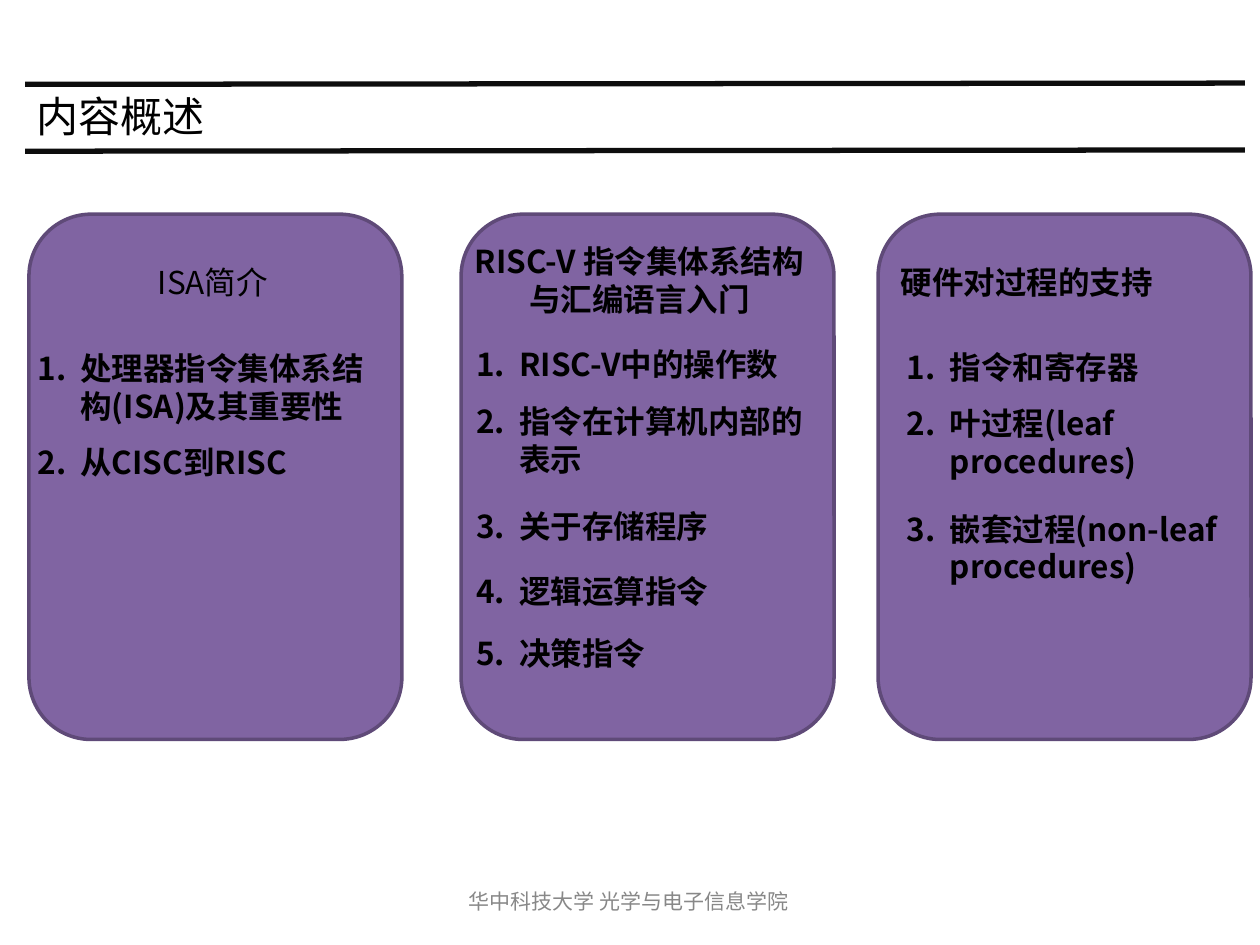
from dataclasses import dataclass
from lxml.etree import SubElement
from pptx import Presentation
from pptx.dml.color import RGBColor as RGB
from pptx.enum.shapes import MSO_CONNECTOR as Conn, MSO_SHAPE as Shape
from pptx.enum.text import MSO_ANCHOR as Anchor, MSO_AUTO_SIZE as Auto, PP_ALIGN as Align
from pptx.oxml.ns import qn
from pptx.util import Pt


@dataclass(frozen=True)
class Theme:
    ink: RGB = RGB(0x00, 0x00, 0x00)
    rule: RGB = RGB(0x0D, 0x0D, 0x0D)
    card: RGB = RGB(0x80, 0x64, 0xA2)
    edge: RGB = RGB(0x5F, 0x4A, 0x78)
    muted: RGB = RGB(0x88, 0x88, 0x88)
    latin: str = "Calibri"
    cjk: str = "Noto Sans CJK SC"
    title: int = 24
    body: int = 18
    footer: int = 12


T = Theme()
TITLE = ["内容概述"]
FOOTER = ["华中科技大", "学", "光学与电子信息学院"]
CARDS = [
    {
        "left": 16.56,
        "head": "ISA简介", "head_box": (30.96, 146.9, 181.4, 28.8),
        "bold": False, "align": Align.CENTER,
        "list_box": (-54, 195.8, 277.9, 83.5), "insets": (7.2, 3.6),
        "items": [["处理器指令集体系结构(ISA)及其重要性"], ["从CISC到RISC"]],
    },
    {
        "left": 263.5,
        "head": "RISC-V 指令集体系结构与汇编语言入门", "head_box": (259.9, 134.6, 211, 51.1),
        "bold": True, "align": Align.CENTER,
        "list_box": (203.8, 196.6, 267.1, 189.4), "insets": (0, 0.72),
        "items": [["RISC-V", "中的操作数"], ["指令在计算机内部的表示"],
                  ["关于存储程序"], ["逻辑运算指令"], ["决策指令"]],
    },
    {
        "left": 501.8,
        "head": "硬件对过程的支持", "head_box": (507.6, 146.9, 181.4, 28.8),
        "bold": True, "align": Align.LEFT,
        "list_box": (442.8, 195.1, 277.9, 144.7), "insets": (7.2, 3.6),
        "items": [["指令和寄存器"], ["叶过程", "(leaf procedures)"],
                  ["嵌套过程", "(non-leaf procedures)"]],
    },
]
CARD_TOP, CARD_W, CARD_H = 122.4, 213.1, 300.2
GAPS = (0, 10.8, 16.9, 15.2, 14.2)
LIST_MARGIN, LIST_HANG = 92.9, 24.5
RULE_LEFT, RULE_RIGHT, RULE_RISE = 14.4, 711.4, 0.7
RULE_TOPS = (86.4, 48.2)


def add_text(s, box, paras, size, font=T.cjk, color=T.ink, bold=False,
             insets=(7.2, 3.6), align=Align.LEFT, anchor=Anchor.TOP):
    tf = s.shapes.add_textbox(*map(Pt, box)).text_frame
    tf.word_wrap, tf.auto_size = True, Auto.SHAPE_TO_FIT_TEXT
    tf.vertical_anchor = anchor
    tf.margin_left = tf.margin_right = Pt(insets[0])
    tf.margin_top = tf.margin_bottom = Pt(insets[1])
    for i, runs in enumerate(paras):
        p = tf.add_paragraph() if i else tf.paragraphs[0]
        p.alignment = align
        for text in runs:
            r = p.add_run()
            r.text = text
            r.font.size, r.font.name, r.font.bold = Pt(size), font, bold
            r.font.color.rgb = color
            SubElement(r.font._element, qn("a:ea"), typeface=T.cjk)
    return tf


def number_items(tf):
    for p, gap in zip(tf.paragraphs, GAPS):
        p.space_before = Pt(gap)
        pPr = p._p.get_or_add_pPr()
        pPr.set("marL", str(Pt(LIST_MARGIN)))
        pPr.set("indent", str(-Pt(LIST_HANG)))
        SubElement(pPr, qn("a:buFont"), typeface=T.cjk)
        SubElement(pPr, qn("a:buAutoNum"), type="arabicPeriod")


def add_card(s, left):
    sp = s.shapes.add_shape(Shape.ROUNDED_RECTANGLE, *map(Pt, (left, CARD_TOP, CARD_W, CARD_H)))
    sp.shadow.inherit = False
    sp.fill.solid()
    sp.fill.fore_color.rgb = T.card
    sp.line.color.rgb, sp.line.width = T.edge, Pt(2)


def add_rule(s, top):
    sp = s.shapes.add_connector(
        Conn.STRAIGHT, *map(Pt, (RULE_LEFT, top, RULE_RIGHT, top - RULE_RISE)))
    sp.line.color.rgb, sp.line.width = T.rule, Pt(3)
    SubElement(sp._element.spPr, qn("a:effectLst"))


def main():
    prs = Presentation()
    prs.slide_width, prs.slide_height = Pt(720), Pt(540)
    s = prs.slides.add_slide(prs.slide_layouts[6])
    for card in reversed(CARDS):
        add_card(s, card["left"])
    add_text(s, (20.16, 50.4, 97.9, 31), [TITLE], T.title, font=T.latin,
             insets=(0, 0), align=Align.CENTER, anchor=Anchor.MIDDLE)
    tf = add_text(s, (267.8, 508.3, 185, 13.7), [FOOTER], T.footer, color=T.muted,
                  insets=(0, 0), anchor=Anchor.MIDDLE)
    tf.paragraphs[0].line_spacing = Pt(13.7)
    tf.paragraphs[0].runs[1].font._element.set("spc", "280")
    for card in CARDS:
        number_items(add_text(s, card["list_box"], card["items"], T.body,
                              bold=True, insets=card["insets"]))
        add_text(s, card["head_box"], [[card["head"]]], T.body,
                 bold=card["bold"], align=card["align"])
    for top in RULE_TOPS:
        add_rule(s, top)
    prs.save("out.pptx")


if __name__ == "__main__":
    main()
